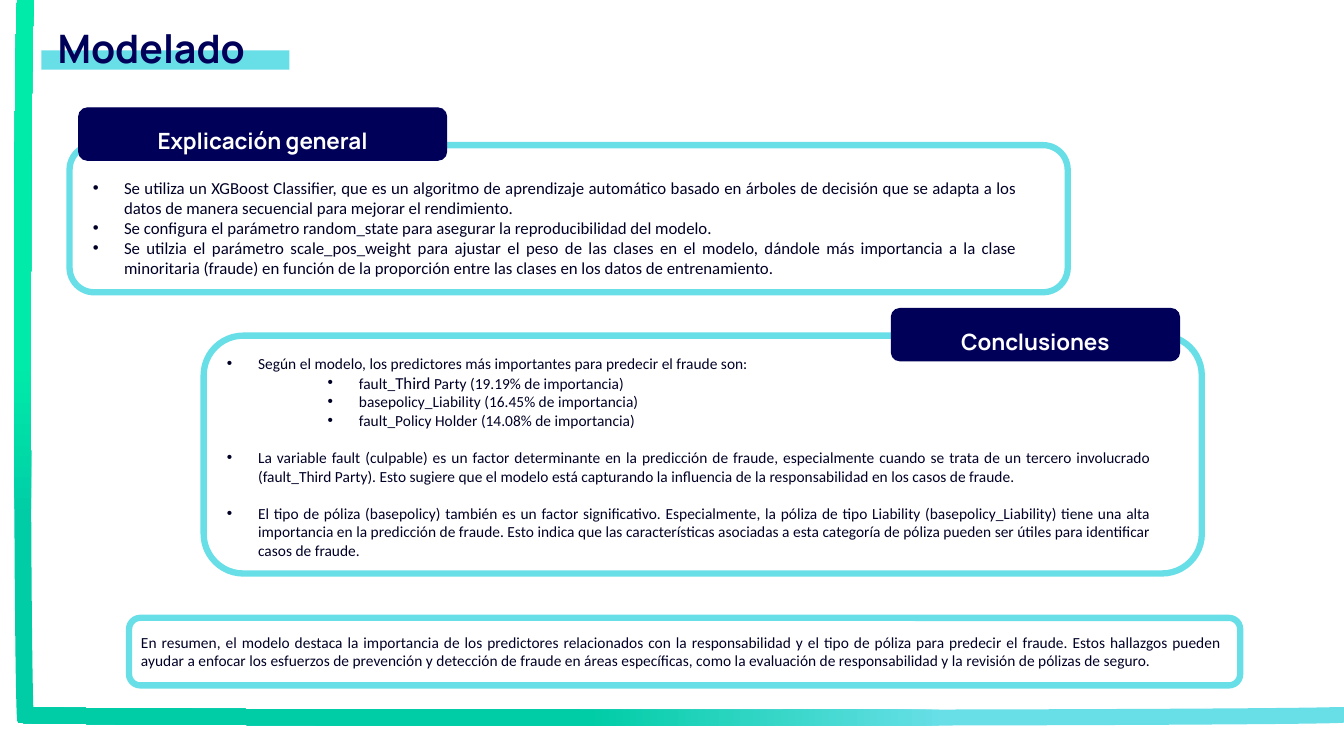
from dataclasses import dataclass

from lxml.etree import SubElement
from pptx import Presentation
from pptx.dml.color import RGBColor
from pptx.enum.shapes import MSO_SHAPE as Preset
from pptx.enum.text import MSO_ANCHOR as Anchor, MSO_AUTO_SIZE as AutoSize, PP_ALIGN as Align
from pptx.oxml.ns import qn
from pptx.util import Inches, Pt


@dataclass(frozen=True)
class Theme:
    navy: str = "000059"
    ink: str = "000026"
    white: str = "FFFFFF"
    cyan: str = "68DFE7"
    teal: str = "00CDA6"
    mint: str = "00EBA9"
    heading_font: str = "Manrope"
    body_font: str = "Calibri"
    title_size: float = 28
    label_size: float = 16
    large_size: float = 12
    small_size: float = 11
    frame_width: float = 4.5
    label_line: float = 0.75


THEME = Theme()
TITLE = "Modelado"

# Each bullet: level, space before in points, pieces of text with their sizes
EXPLANATION = [
    (0, 0, [(text, THEME.large_size)]) for text in (
        "Se utiliza un XGBoost Classifier, que es un algoritmo de aprendizaje automático basado en "
        "árboles de decisión que se adapta a los datos de manera secuencial para mejorar el rendimiento.",
        "Se configura el parámetro random_state para asegurar la reproducibilidad del modelo.",
        "Se utilzia el parámetro scale_pos_weight para ajustar el peso de las clases en el modelo, "
        "dándole más importancia a la clase minoritaria (fraude) en función de la proporción entre "
        "las clases en los datos de entrenamiento.",
    )
]
SMALL, LARGE = THEME.small_size, THEME.large_size
GAP = 13.4
CONCLUSIONS = [
    (0, 0, [("Según el modelo, los predictores más importantes para predecir el fraude son:", SMALL)]),
    (1, 0, [("fault_", SMALL), ("Third", LARGE), (" Party (19.19% de importancia)", SMALL)]),
    (1, 0, [("basepolicy_Liability (16.45% de importancia)", SMALL)]),
    (1, 0, [("fault_Policy Holder (14.08% de importancia)", SMALL)]),
    (0, GAP, [("La variable fault (culpable) es un factor determinante en la predicción de fraude, "
               "especialmente cuando se trata de un tercero involucrado (fault_Third Party). Esto sugiere "
               "que el modelo está capturando la influencia de la responsabilidad en los casos de fraude.",
               SMALL)]),
    (0, GAP, [("El tipo de póliza (basepolicy) también es un factor significativo. Especialmente, la póliza "
               "de tipo Liability (basepolicy_Liability) tiene una alta importancia en la predicción de "
               "fraude. Esto indica que las características asociadas a esta categoría de póliza pueden ser "
               "útiles para identificar casos de fraude.", SMALL)]),
]
SUMMARY = (
    "En resumen, el modelo destaca la importancia de los predictores relacionados con la responsabilidad y "
    "el tipo de póliza para predecir el fraude. Estos hallazgos pueden ayudar a enfocar los esfuerzos de "
    "prevención y detección de fraude en áreas específicas, como la evaluación de responsabilidad y la "
    "revisión de pólizas de seguro."
)

# Boxes are left, top, width, height in inches
SECTIONS = [
    {"label": "Explicación general", "bullets": EXPLANATION, "frame": (0.69, 1.44, 9.9, 1.46),
     "label_box": (0.78, 1.07, 3.65, 0.52), "text_box": (0.82, 1.71, 9.37, 1.11)},
    {"label": "Conclusiones", "bullets": CONCLUSIONS, "frame": (2.02, 3.33, 9.9, 2.36),
     "label_box": (8.84, 3.06, 2.86, 0.52), "text_box": (2.15, 3.46, 9.37, 2.15)},
]
# Each bar: box, rotation, gradient stops as position and colour
BARS = [
    ((0.14, 0, 0.2, 7.16), 0, [(0.28, THEME.teal), (0.5, THEME.mint)]),
    ((6.66, 0.53, 0.19, 13.15), 270, [(0.3, THEME.cyan), (0.57, THEME.teal)]),
]
TITLE_BOX = (0.27, -0.04, 2.46, 0.74)
HIGHLIGHT_BOX = (0.41, 0.5, 2.46, 0.19)
SUMMARY_BOX = (1.3, 6.23, 10.92, 0.47)
SUMMARY_FRAME = (1.28, 6.13, 11.02, 0.67)
HANGING = 0.31


def place(shape, box):
    for side, length in zip(("left", "top", "width", "height"), box):
        setattr(shape, side, Inches(length))


def apply(target, values):
    for attribute, value in values.items():
        setattr(target, attribute, value)


def add_preset(shapes, preset, box, fill=None, line=None, line_width=0):
    shape = shapes.add_shape(preset, *map(Inches, box))
    shape.shadow.inherit = False
    for part, colour in ((shape.fill, fill), (shape.line.fill, line)):
        if colour:
            part.solid()
            part.fore_color.rgb = RGBColor.from_string(colour)
        else:
            part.background()
    if line:
        shape.line.width = Pt(line_width)
    return shape


def add_frame(shapes, box):
    add_preset(shapes, Preset.ROUNDED_RECTANGLE, box, line=THEME.cyan, line_width=THEME.frame_width)


def add_run(paragraph, text, size, font=THEME.body_font, colour=THEME.ink, bold=False):
    run = paragraph.add_run()
    run.text = text
    apply(run.font, {"size": Pt(size), "name": font, "bold": bold})
    run.font.color.rgb = RGBColor.from_string(colour)


def set_frame(text_frame, anchor=Anchor.TOP):
    apply(text_frame, {"word_wrap": True, "auto_size": AutoSize.NONE, "vertical_anchor": anchor})


def write_heading(shape, text, size, colour, anchor):
    set_frame(shape.text_frame, anchor)
    heading = shape.text_frame.paragraphs[0]
    apply(heading, {"alignment": Align.CENTER, "line_spacing": 1.5})
    add_run(heading, text, size, THEME.heading_font, colour, True)


def write_bullets(placeholder, bullets):
    set_frame(placeholder.text_frame)
    for index, (level, before, pieces) in enumerate(bullets):
        frame = placeholder.text_frame
        bullet = frame.add_paragraph() if index else frame.paragraphs[0]
        properties = bullet._p.get_or_add_pPr()
        properties.set("marL", str(Inches(HANGING + level)))
        properties.set("indent", str(Inches(-HANGING)))
        SubElement(properties, qn("a:buFont")).set("typeface", "Arial")
        SubElement(properties, qn("a:buChar")).set("char", "•")
        apply(bullet, {"level": level, "alignment": Align.JUSTIFY, "line_spacing": 1.0,
                       "space_before": Pt(before), "space_after": Pt(0)})
        for text, size in pieces:
            add_run(bullet, text, size)


def add_bar(shapes, box, rotation, stops):
    bar = add_preset(shapes, Preset.FLOWCHART_STORED_DATA, box)
    bar.rotation = rotation
    bar.fill.gradient()
    bar.fill.gradient_angle = 90
    for stop, (position, colour) in zip(bar.fill.gradient_stops, stops):
        stop.position = position
        stop.color.rgb = RGBColor.from_string(colour)


def main():
    deck = Presentation()
    apply(deck, {"slide_width": Inches(13.33), "slide_height": Inches(7.5)})
    slide = deck.slides.add_slide(deck.slide_layouts.get_by_name("Two Content"))
    shapes = slide.shapes

    for bar in BARS:
        add_bar(shapes, *bar)

    title = shapes.title
    place(title, TITLE_BOX)
    write_heading(title, TITLE, THEME.title_size, THEME.navy, Anchor.TOP)
    highlight = add_preset(shapes, Preset.RECTANGLE, HIGHLIGHT_BOX, fill=THEME.cyan)
    highlight._element.addnext(title._element)  # the title sits on its highlight

    for section, body in zip(SECTIONS, (slide.placeholders[1], slide.placeholders[2])):
        place(body, section["text_box"])
        write_bullets(body, section["bullets"])
        add_frame(shapes, section["frame"])
        label = add_preset(shapes, Preset.ROUNDED_RECTANGLE, section["label_box"],
                           THEME.navy, THEME.navy, THEME.label_line)
        write_heading(label, section["label"], THEME.label_size, THEME.white, Anchor.MIDDLE)

    summary = shapes.add_textbox(*map(Inches, SUMMARY_BOX)).text_frame
    set_frame(summary)
    summary.paragraphs[0].alignment = Align.JUSTIFY
    add_run(summary.paragraphs[0], SUMMARY, THEME.small_size)
    add_frame(shapes, SUMMARY_FRAME)

    deck.save("out.pptx")


if __name__ == "__main__":
    main()
